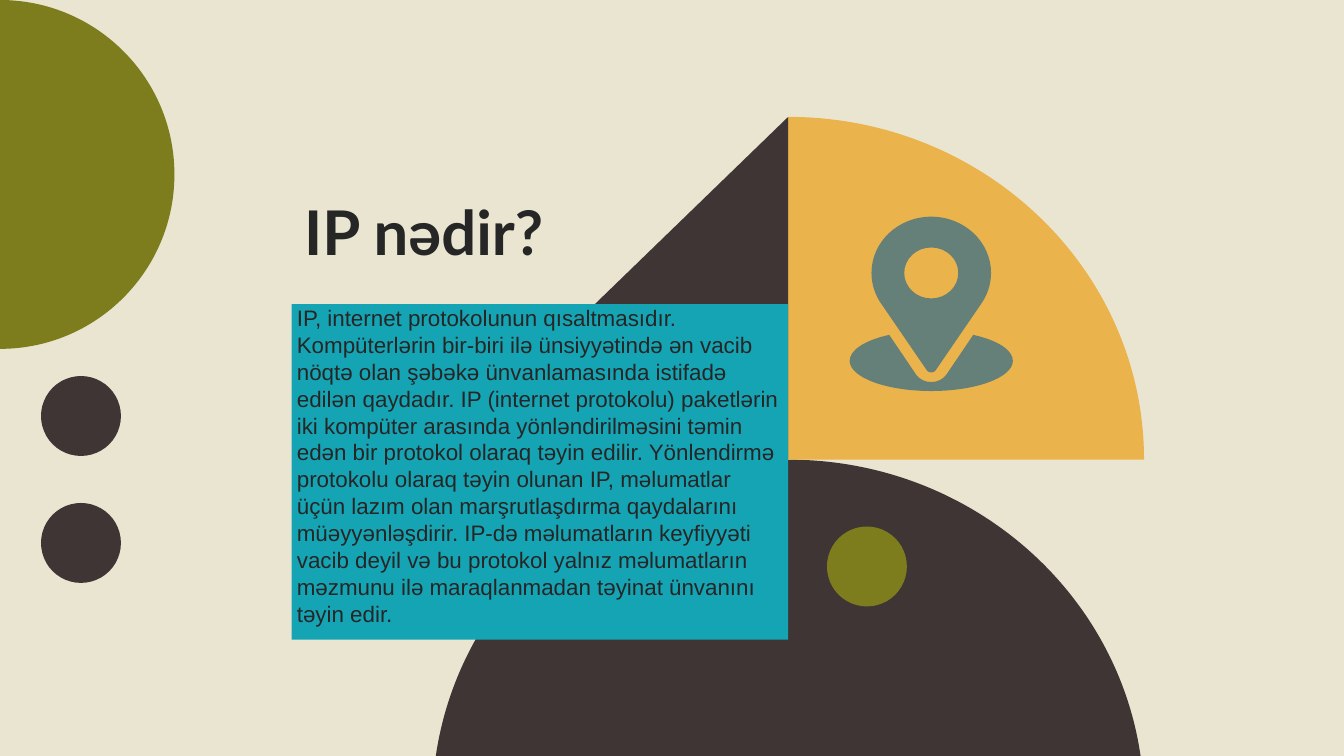
from dataclasses import dataclass
from math import cos, radians, sin, tan

from lxml import etree
from pptx import Presentation
from pptx.dml.color import RGBColor
from pptx.enum.shapes import MSO_SHAPE
from pptx.enum.text import MSO_ANCHOR, MSO_AUTO_SIZE, PP_ALIGN
from pptx.oxml.ns import qn
from pptx.util import Pt

OVAL, RECTANGLE = MSO_SHAPE.OVAL, MSO_SHAPE.RECTANGLE
LEFT, TOP = PP_ALIGN.LEFT, MSO_ANCHOR.TOP
GROW = MSO_AUTO_SIZE.SHAPE_TO_FIT_TEXT


@dataclass(frozen=True)
class Theme:
    sand: RGBColor = RGBColor.from_string("E9E5D0")
    brown: RGBColor = RGBColor.from_string("3F3534")
    olive: RGBColor = RGBColor.from_string("7D7D1E")
    amber: RGBColor = RGBColor.from_string("EAB34B")
    teal: RGBColor = RGBColor.from_string("15A4B4")
    slate: RGBColor = RGBColor.from_string("658078")
    ink: RGBColor = RGBColor.from_string("262626")
    title_size: Pt = Pt(44)
    body_size: Pt = Pt(16)


def arc(cx, cy, rx, ry, start, end):
    """Elliptical arc as a start point and one Bezier curve per quadrant.

    Angles are in degrees, clockwise from the right.
    """
    low, high = sorted((start, end))
    quadrants = [a for a in range(-360, 721, 90) if low < a < high]
    stops = sorted([start, *quadrants, end], reverse=start > end)
    segments = [[(cx + rx * cos(radians(start)), cy + ry * sin(radians(start)))]]
    for a, b in zip(map(radians, stops), map(radians, stops[1:])):
        pull = 4 / 3 * tan((b - a) / 4)
        segments.append([
            (cx + rx * (cos(a) - pull * sin(a)), cy + ry * (sin(a) + pull * cos(a))),
            (cx + rx * (cos(b) + pull * sin(b)), cy + ry * (sin(b) - pull * cos(b))),
            (cx + rx * cos(b), cy + ry * sin(b)),
        ])
    return segments


def outline(*contours):
    """Freeform of closed contours; one-point segments are lines, three-point ones curves."""
    builder = None
    for contour in contours:
        start, *rest = [(Pt(x), Pt(y)) for segment in contour for x, y in segment]
        if builder is None:
            builder = shapes.build_freeform(*start)
        else:
            builder.move_to(*start)
        builder.add_line_segments(rest, close=True)
    shape = builder.convert_to_shape()
    steps = iter(list(shape.element.iter(qn("a:lnTo"))))
    for segment in (s for contour in contours for s in contour[1:]):
        first, *others = [next(steps) for _ in segment]
        if others:
            first.tag = qn("a:cubicBezTo")
        for other in others:
            first.append(other[0])
            other.getparent().remove(other)
    etree.cleanup_namespaces(shape.element)
    return shape


theme = Theme()
prs = Presentation()
prs.slide_width, prs.slide_height = Pt(960), Pt(540)
slide = prs.slides.add_slide(prs.slide_layouts[6])
slide.background.fill.solid()
slide.background.fill.fore_color.rgb = theme.sand
shapes = slide.shapes

# Big geometric shapes meet on one vertical axis
axis, fan_base, roof_base = 563, 328.3, 327.6
painted = [(outline(arc(axis, 574.6, 254.2, 246.3, 180, 360)), theme.brown)]

dot_size = 57.1
for color, left, top in [
    (theme.olive, 590.7, 376.1),
    (theme.brown, 29.3, 359.3),
    (theme.brown, 29.3, 268.6),
]:
    dot = shapes.add_shape(OVAL, Pt(left), Pt(top), Pt(dot_size), Pt(dot_size))
    painted.append((dot, color))

painted += [
    (outline(arc(0, 124.6, 124.6, 124.6, -90, 90)), theme.olive),
    (outline(arc(axis, fan_base, 254.2, 244.8, -90, 0) + [[(axis, fan_base)]]), theme.amber),
    (outline([[(axis, 83.5)], [(311, roof_base)], [(axis, roof_base)]]), theme.brown),
    (shapes.add_shape(RECTANGLE, Pt(208.4), Pt(217.2), Pt(354.6), Pt(239.8)), theme.teal),
]

definition = (
    "IP, internet protokolunun qısaltmasıdır. Kompüterlərin bir-biri ilə ünsiyyətində "
    "ən vacib nöqtə olan şəbəkə ünvanlamasında istifadə edilən qaydadır. IP (internet "
    "protokolu) paketlərin iki kompüter arasında yönləndirilməsini təmin edən bir "
    "protokol olaraq təyin edilir. Yönlendirmə protokolu olaraq təyin olunan IP, "
    "məlumatlar üçün lazım olan marşrutlaşdırma qaydalarını müəyyənləşdirir. IP-də "
    "məlumatların keyfiyyəti vacib deyil və bu protokol yalnız məlumatların məzmunu "
    "ilə maraqlanmadan təyinat ünvanını təyin edir."
)

for text, box, wrap, (inset_x, inset_y), font_format in [
    (definition, (205, 213.8, 360, 239.8), True, (7.2, 3.6),
     {"name": "Arial", "size": theme.body_size, "bold": False}),
    ("IP nədir?", (210.2, 131, 204.5, 67.7), False, (7.2, 7.2),
     {"name": "Lato", "size": theme.title_size, "bold": True}),
]:
    frame = shapes.add_textbox(*map(Pt, box)).text_frame
    frame_format = {
        "word_wrap": wrap, "auto_size": GROW, "vertical_anchor": TOP,
        "margin_left": Pt(inset_x), "margin_right": Pt(inset_x),
        "margin_top": Pt(inset_y), "margin_bottom": Pt(inset_y),
    }
    for key, value in frame_format.items():
        setattr(frame, key, value)
    paragraph = frame.paragraphs[0]
    paragraph.alignment = LEFT
    run = paragraph.add_run()
    run.text = text
    for key, value in font_format.items():
        setattr(run.font, key, value)
    run.font.color.rgb = theme.ink

# Map pin on its own vertical axis
pin_x, pin_y = 665.2, 195
pin_body = arc(pin_x, pin_y, 42.7, 40.2, 145, 395) + arc(pin_x, 263.2, 3.6, 2.9, 35, 145)
pin_hole = arc(pin_x, pin_y, 19.3, 18.2, 0, 360)
pin_ground = arc(pin_x, 257.7, 58.3, 21.6, -59, 239) + arc(pin_x, 262.2, 12.5, 10.7, 150, 30)
painted += [
    (outline(pin_body, pin_hole), theme.slate),
    (outline(pin_ground), theme.slate),
]

for shape, color in painted:
    shape.shadow.inherit = False
    shape.fill.solid()
    shape.fill.fore_color.rgb = color
    shape.line.fill.background()

prs.save("out.pptx")
